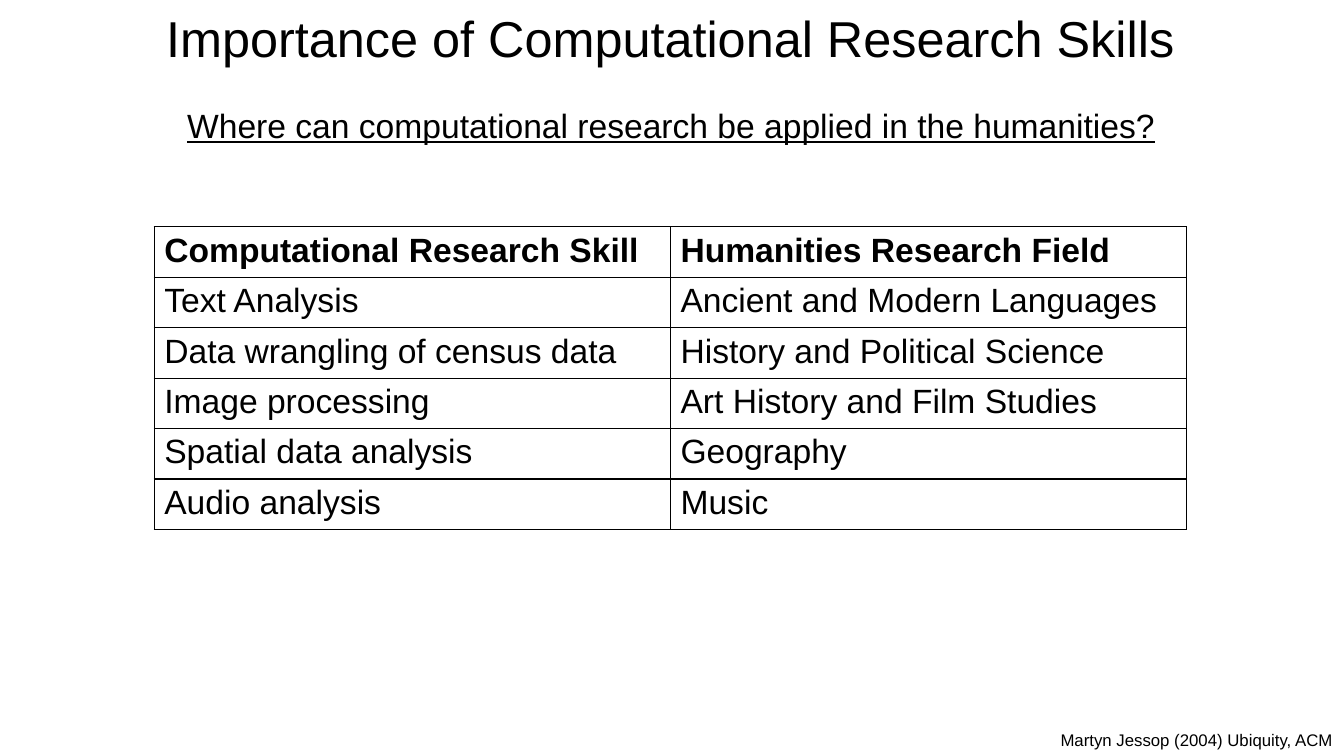
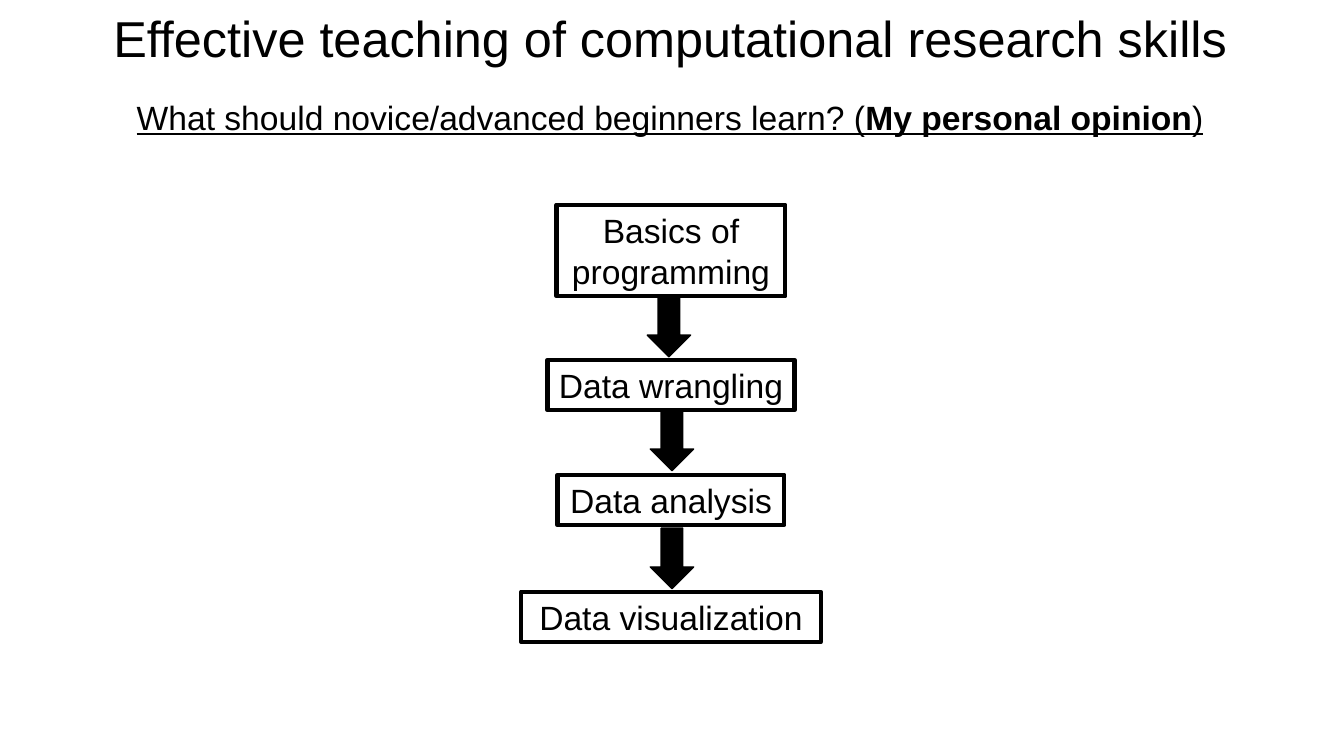
from lxml.etree import SubElement as Sub
from pptx import Presentation as Deck
from pptx.dml.color import RGBColor as Color
from pptx.enum.shapes import MSO_SHAPE as Kind
from pptx.enum.text import MSO_ANCHOR as Anchor
from pptx.enum.text import MSO_AUTO_SIZE as Fit
from pptx.enum.text import PP_ALIGN as Align
from pptx.oxml.ns import qn
from pptx.util import Emu, Pt

# Shared look
SCALE = 9144  # 100 px to the inch
WIDE, HIGH = 1333, 750
BLACK = Color(0, 0, 0)
BODY = {"name": "Arial", "size": Pt(24), "bold": False}
HEAD = BODY | {"size": Pt(36)}
NOTE = BODY | {"size": Pt(12)}
ASK = BODY | {"underline": True}
STRONG = {"bold": True}

# Slide content
FIELDS = [
    ("Computational Research Skill", "Humanities Research Field"),
    ("Text Analysis", "Ancient and Modern Languages"),
    ("Data wrangling of census data", "History and Political Science"),
    ("Image processing", "Art History and Film Studies"),
    ("Spatial data analysis", "Geography"),
    ("Audio analysis", "Music"),
]
MID = 1331  # twice the centre line of the step boxes
STEPS = [  # text, top, width, height
    ("Basics of programming", 203, 227, 91),
    ("Data wrangling", 357, 245, 50),
    ("Data analysis", 471, 225, 50),
    ("Data visualization", 587, 297, 50),
]
ARROWS = [(642, 294), (645, 407), (645, 524)]  # left, top


def px(*nums):
    return [Emu(num * SCALE) for num in nums]


def style(font, look):
    for key, val in look.items():
        setattr(font, key, val)
    font.color.rgb = BLACK


def write(frame, parts, look, align=Align.CENTER):
    """Fill the first paragraph with (text, extra look) parts."""
    frame.word_wrap = True
    para = frame.paragraphs[0]
    para.alignment = align
    for text, extra in parts:
        run = para.add_run()
        run.text = text
        style(run.font, look | extra)
    return para


def add_page(deck, text):
    page = deck.slides.add_slide(deck.slide_layouts[5])
    title = page.shapes.title
    title.left, title.top, title.width, title.height = px(90, 1, 1150, 79)
    frame = title.text_frame
    frame.auto_size = Fit.NONE
    frame.vertical_anchor = Anchor.MIDDLE
    write(frame, [(text, {})], HEAD).line_spacing = 0.9
    return page


def add_text(page, spot, parts, look, align=Align.CENTER):
    box = page.shapes.add_textbox(*px(*spot))
    write(box.text_frame, parts, look, align)


def add_shape(page, kind, spot, line):
    shape = page.shapes.add_shape(kind, *px(*spot))
    shape.shadow.inherit = False
    shape.line.color.rgb = BLACK
    shape.line.width = Pt(line)
    return shape


def add_box(page, text, top, width, height):
    spot = ((MID - width) // 2, top, width, height)
    box = add_shape(page, Kind.RECTANGLE, spot, 3)
    box.fill.background()
    write(box.text_frame, [(text, {})], BODY)


def add_arrow(page, left, top):
    arrow = add_shape(page, Kind.DOWN_ARROW, (left, top, 43, 60), 1)
    arrow.fill.solid()
    arrow.fill.fore_color.rgb = BLACK


def add_edges(cell):
    props = cell._tc.get_or_add_tcPr()
    for rank, side in enumerate(("a:lnL", "a:lnR", "a:lnT", "a:lnB")):
        line = Sub(props, qn(side), w=str(Pt(1)))
        fill = Sub(line, qn("a:solidFill"))
        Sub(fill, qn("a:srgbClr"), val=str(BLACK))
        props.insert(rank, line)  # borders come before the fill


def add_grid(page, rows, spot):
    grid = page.shapes.add_table(len(rows), len(rows[0]), *px(*spot)).table
    grid.first_row = grid.horz_banding = False
    for row, texts in enumerate(rows):
        extra = {} if row else STRONG
        for col, text in enumerate(texts):
            cell = grid.cell(row, col)
            cell.fill.background()
            add_edges(cell)
            write(cell.text_frame, [(text, extra)], BODY, Align.LEFT)


def add_fields(deck):
    page = add_page(deck, "Importance of Computational Research Skills")
    ask = "Where can computational research be applied in the humanities?"
    add_text(page, (28, 99, 1275, 50), [(ask, {})], ASK)
    cite = "Martyn Jessop (2004) Ubiquity, ACM"
    add_text(page, (1042, 719, 291, 30), [(cite, {})], NOTE, Align.LEFT)
    add_grid(page, FIELDS, (153, 225, 1024, 300))


def add_steps(deck):
    page = add_page(deck, "Effective teaching of computational research skills")
    parts = [
        ("What should novice/advanced beginners learn? (", {}),
        ("My personal opinion", STRONG),
        (")", {}),
    ]
    add_text(page, (27, 91, 1275, 50), parts, ASK)
    for step in STEPS:
        add_box(page, *step)
    for spot in ARROWS:
        add_arrow(page, *spot)


def main():
    deck = Deck()
    deck.slide_width, deck.slide_height = px(WIDE, HIGH)
    add_fields(deck)
    add_steps(deck)
    deck.save("out.pptx")


if __name__ == "__main__":
    main()
